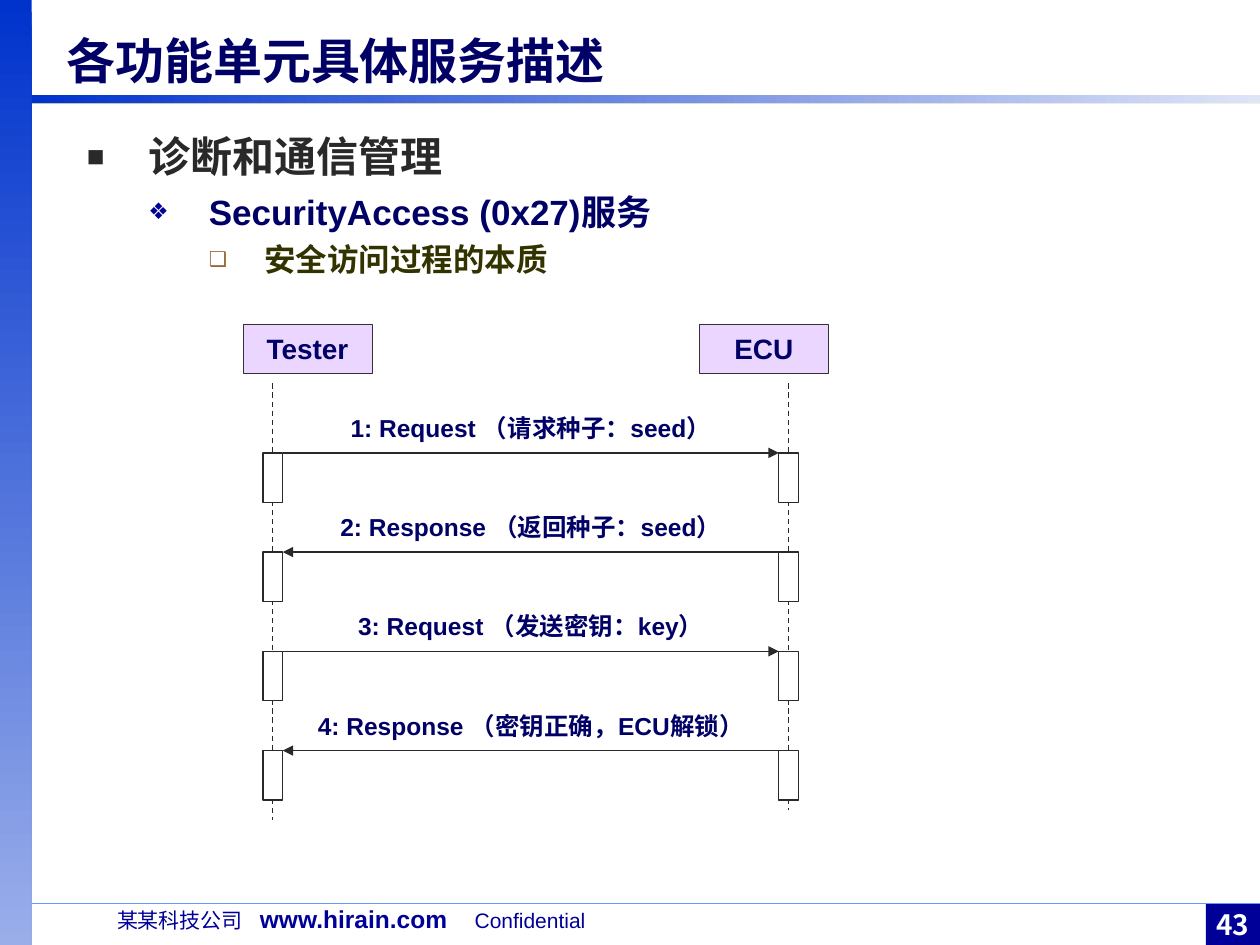
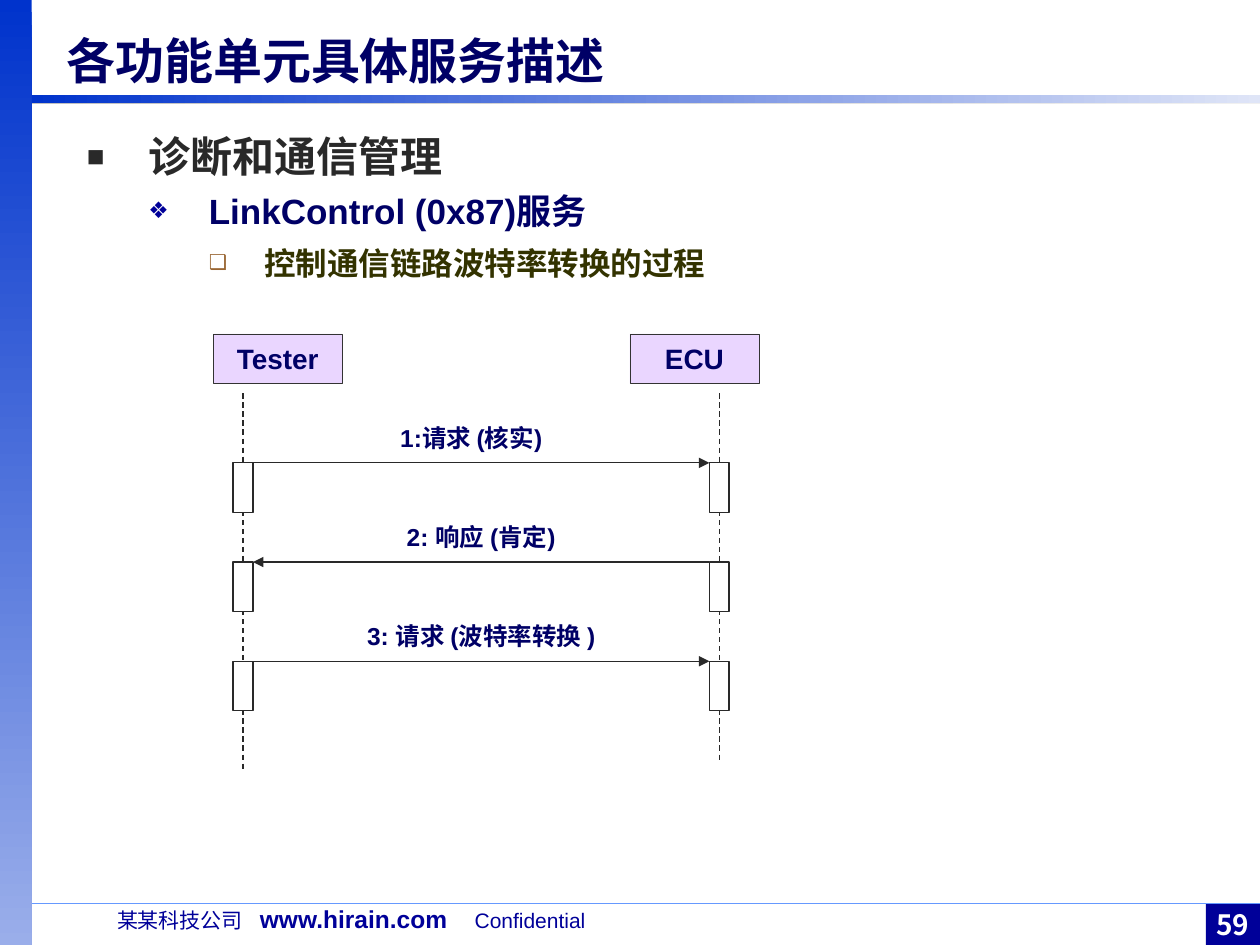
from lxml.etree import SubElement
from pptx import Presentation
from pptx.dml.color import RGBColor
from pptx.enum.dml import MSO_LINE
from pptx.enum.shapes import MSO_CONNECTOR, MSO_SHAPE
from pptx.enum.text import MSO_ANCHOR, PP_ALIGN
from pptx.oxml.ns import qn
from pptx.util import Cm, Pt

COLORS = {
    "navy": "000066", "blue": "000099", "royal": "0033CC", "sky": "9AAEEA",
    "pale": "DFE5F7", "rule": "6699FF", "silver": "C0C0C0", "mist": "F0F0F0",
    "ink": "292929", "edge": "333333", "olive": "333300", "brown": "996633",
    "lilac": "CC99FF", "white": "FFFFFF",
}
LATIN, CJK = "Arial", "Noto Sans CJK SC"
WIDTH, HEIGHT = 25.4, 19.05
SIDEBAR = 0.64
FOOTER_TOP = 18.21
TITLE = "各功能单元具体服务描述"
FOOTER_RUNS = [
    ("某某科技公司", CJK, 12, False),
    ("\twww.hirain.com", LATIN, 14, True),
    ("\tConfidential", LATIN, 12, False),
]
FOOTER_TABS = [2.88, 7.21]
BANDS = [
    (1.94, 0.16, "royal", "pale"),
    (2.04, 0.06, "silver", "mist"),
    (1.91, 0.16, "royal", "pale"),
]
LEVELS = [
    {"bullet": "■", "bullet_color": "ink", "bullet_size": 70,
     "margin": 1.24, "hanging": 1.24, "size": 24, "color": "ink"},
    {"bullet": "❖", "bullet_color": "blue", "bullet_size": 65,
     "margin": 2.46, "hanging": 1.22, "size": 20, "color": "navy"},
    {"bullet": "❑", "bullet_color": "brown", "bullet_size": 65,
     "margin": 3.58, "hanging": 1.12, "size": 18, "color": "olive"},
]
SLIDES = [
    {
        "number": "43",
        "outline": ["诊断和通信管理", "SecurityAccess (0x27)服务", "安全访问过程的本质"],
        "outline_top": 2.62, "first_spacing": 0.9, "space_before": [0, 5, 4.5],
        "top": 6.53, "tester_x": 5.5, "ecu_x": 15.9, "depth": 10,
        "messages": [
            ("1: Request （请求种子：seed）", 0.2, 9.6),
            ("2: Response （返回种子：seed）", 0.2, 9.6),
            ("3: Request （发送密钥：key）", 0.2, 9.6),
            ("4: Response （密钥正确，ECU解锁）", 0.2, 9.6),
        ],
    },
    {
        "number": "59",
        "outline": ["诊断和通信管理", "LinkControl (0x87)服务", "控制通信链路波特率转换的过程"],
        "outline_top": 2.51, "first_spacing": 1.0, "space_before": [0, 5, 6.8],
        "top": 6.73, "tester_x": 4.9, "ecu_x": 14.5, "depth": 8.8,
        "messages": [
            ("1:请求 (核实)", 0.2, 8.4),
            ("2: 响应 (肯定)", 0.4, 8.4),
            ("3: 请求 (波特率转换 )", 0.2, 8.8),
        ],
    },
]
BOX_WIDTH, BOX_HEIGHT = 2.6, 1
BAR_WIDTH, BAR_HEIGHT = 0.4, 1
LIFELINE_GAP, FIRST_MESSAGE, MESSAGE_STEP = 1.2, 2.6, 2
LABEL_RISE, LABEL_HEIGHT = 0.93, 0.86


def rgb(name):
    return RGBColor.from_string(COLORS[name])


def set_font(font, size, color, bold=True, name=LATIN):
    font.name, font.size, font.bold = name, Pt(size), bold
    font.color.rgb = rgb(color)


def add_box(slide, left, top, width, height, fill, line=None, weight=0.75):
    shape = slide.shapes.add_shape(
        MSO_SHAPE.RECTANGLE, Cm(left), Cm(top), Cm(width), Cm(height))
    shape.shadow.inherit = False
    if isinstance(fill, tuple):
        start, end, angle = fill
        shape.fill.gradient()
        shape.fill.gradient_angle = angle
        for stop, color in zip(shape.fill.gradient_stops, (start, end)):
            stop.color.rgb = rgb(color)
    else:
        shape.fill.solid()
        shape.fill.fore_color.rgb = rgb(fill)
    if line:
        shape.line.color.rgb = rgb(line)
        shape.line.width = Pt(weight)
    else:
        shape.line.fill.background()
    return shape


def add_line(slide, x1, y1, x2, y2, color="ink", weight=0.75, dashed=False, arrow=False):
    connector = slide.shapes.add_connector(
        MSO_CONNECTOR.STRAIGHT, Cm(x1), Cm(y1), Cm(x2), Cm(y2))
    connector.line.color.rgb = rgb(color)
    connector.line.width = Pt(weight)
    if dashed:
        connector.line.dash_style = MSO_LINE.DASH
    if arrow:
        SubElement(connector.line._get_or_add_ln(), qn("a:tailEnd"), type="triangle")
    SubElement(connector._element.spPr, qn("a:effectLst"))


def add_text_box(slide, left, top, width, height):
    frame = slide.shapes.add_textbox(Cm(left), Cm(top), Cm(width), Cm(height)).text_frame
    frame.word_wrap = True
    return frame


def write(frame, text, size, color, align=PP_ALIGN.LEFT, name=LATIN):
    paragraph = frame.paragraphs[0]
    paragraph.text = text
    paragraph.alignment = align
    set_font(paragraph.font, size, color, name=name)


def add_frame(slide, number):
    page = add_box(slide, 24.31, FOOTER_TOP, WIDTH - 24.31, HEIGHT - FOOTER_TOP, "blue")
    page.text_frame.word_wrap = False
    page.text_frame.vertical_anchor = MSO_ANCHOR.MIDDLE
    write(page.text_frame, number, 16, "white", PP_ALIGN.CENTER, CJK)
    add_box(slide, 0, 0, SIDEBAR, HEIGHT, ("royal", "sky", 270))

    paragraph = add_text_box(slide, 2.11, FOOTER_TOP, 13.34, 0.74).paragraphs[0]
    tabs = SubElement(paragraph._p.get_or_add_pPr(), qn("a:tabLst"))
    for position in FOOTER_TABS:
        SubElement(tabs, qn("a:tab"), pos=str(Cm(position)), algn="l")
    paragraph.line_spacing = 0.8
    for text, name, size, bold in FOOTER_RUNS:
        run = paragraph.add_run()
        run.text = text
        set_font(run.font, size, "blue", bold, name)

    add_line(slide, SIDEBAR, FOOTER_TOP, WIDTH, FOOTER_TOP, "rule", 0.25)
    for top, height, start, end in BANDS:
        add_box(slide, SIDEBAR, top, WIDTH - SIDEBAR, height, (start, end, 0))

    title = add_text_box(slide, 1.09, 0.53, 17.81, 1.4)
    title.vertical_anchor = MSO_ANCHOR.BOTTOM
    write(title, TITLE, 28, "navy")


def add_outline(slide, content):
    frame = add_text_box(slide, 1.5, content["outline_top"], 22.43, 14.4)
    rows = zip(content["outline"], LEVELS, content["space_before"])
    for index, (text, level, space) in enumerate(rows):
        paragraph = frame.add_paragraph() if index else frame.paragraphs[0]
        paragraph.text = text
        paragraph.level = index
        properties = paragraph._p.get_or_add_pPr()
        properties.set("marL", str(Cm(level["margin"])))
        properties.set("indent", str(-Cm(level["hanging"])))
        bullet_color = SubElement(properties, qn("a:buClr"))
        SubElement(bullet_color, qn("a:srgbClr"), val=COLORS[level["bullet_color"]])
        SubElement(properties, qn("a:buSzPct"), val=str(level["bullet_size"] * 1000))
        SubElement(properties, qn("a:buFont"), typeface=LATIN)
        SubElement(properties, qn("a:buChar"), char=level["bullet"])
        paragraph.space_before = Pt(space)
        set_font(paragraph.font, level["size"], level["color"])
    frame.paragraphs[0].line_spacing = content["first_spacing"]


def add_sequence(slide, content):
    top, tester, ecu = content["top"], content["tester_x"], content["ecu_x"]
    bottom = top + content["depth"]
    actors = [("Tester", tester, tester - 0.6, bottom), ("ECU", ecu, ecu - 1.8, bottom - 0.2)]
    for name, x, left, end in actors:
        actor = add_box(slide, left, top, BOX_WIDTH, BOX_HEIGHT, "lilac", "edge", 0.25)
        color = actor._element.spPr.find(qn("a:solidFill"))[0]
        SubElement(color, qn("a:alpha"), val="40000")
        actor.text_frame.vertical_anchor = MSO_ANCHOR.MIDDLE
        write(actor.text_frame, name, 16, "navy", PP_ALIGN.CENTER)
        add_line(slide, x, top + LIFELINE_GAP, x, end, dashed=True)

    left_edge, right_edge = tester + BAR_WIDTH / 2, ecu - BAR_WIDTH / 2
    for index, (text, offset, width) in enumerate(content["messages"]):
        y = top + FIRST_MESSAGE + index * MESSAGE_STEP
        for x in (tester, ecu):
            add_box(slide, x - BAR_WIDTH / 2, y, BAR_WIDTH, BAR_HEIGHT, "white", "ink")
        ends = (right_edge, left_edge) if index % 2 else (left_edge, right_edge)
        add_line(slide, ends[0], y, ends[1], y, arrow=True)
        label = add_text_box(slide, left_edge + offset, y - LABEL_RISE, width, LABEL_HEIGHT)
        write(label, text, 14, "navy", PP_ALIGN.CENTER)


def main():
    presentation = Presentation()
    presentation.slide_width, presentation.slide_height = Cm(WIDTH), Cm(HEIGHT)
    for content in SLIDES:
        slide = presentation.slides.add_slide(presentation.slide_layouts[6])
        add_frame(slide, content["number"])
        add_sequence(slide, content)
        add_outline(slide, content)
    presentation.save("out.pptx")


if __name__ == "__main__":
    main()
